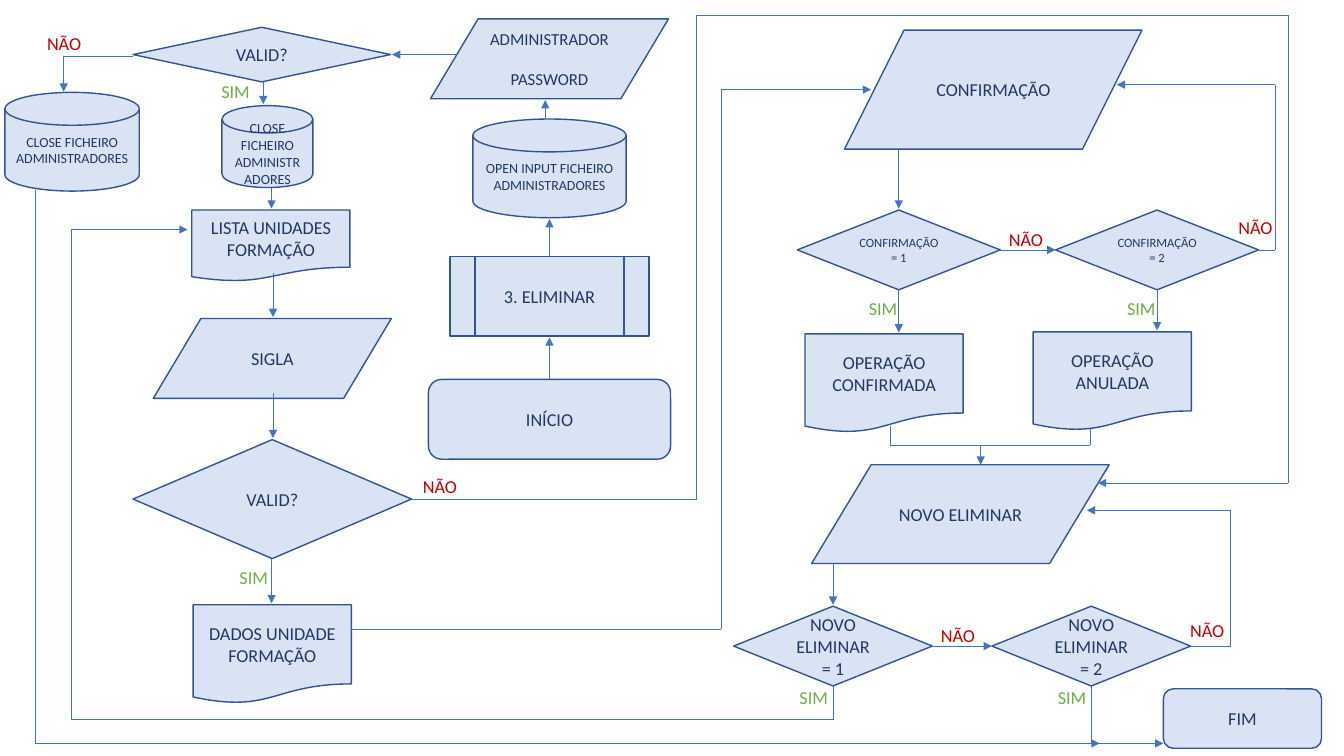
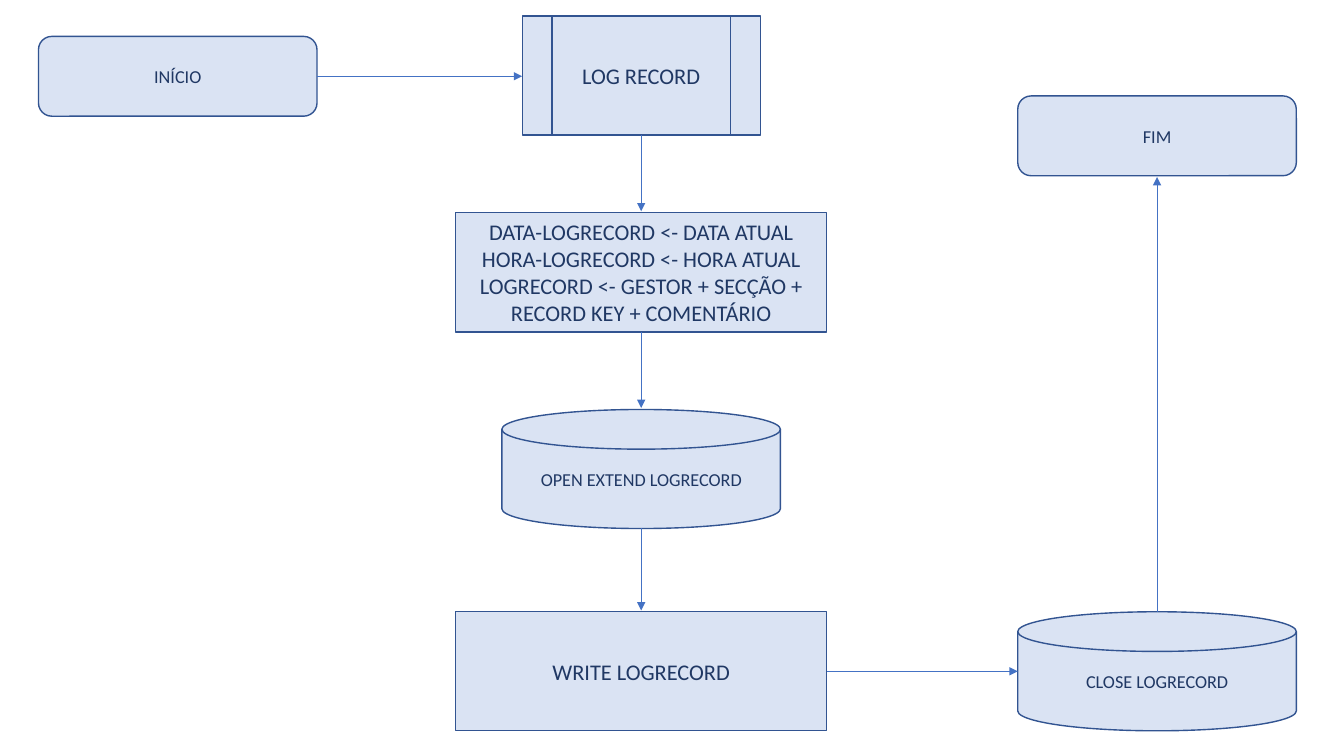
from dataclasses import dataclass
from itertools import pairwise

from lxml.etree import SubElement
from pptx import Presentation
from pptx.dml.color import RGBColor
from pptx.enum.shapes import MSO_CONNECTOR, MSO_SHAPE as SHAPE
from pptx.enum.text import MSO_ANCHOR as ANCHOR, PP_ALIGN as ALIGN
from pptx.oxml.ns import qn
from pptx.util import Pt

COLORS = {"fill": "DAE3F3", "outline": "325491", "text": "203864",
          "line": "4472C4", "yes": "70AD47", "no": "C00000"}
FONT = "Calibri"

TERMINAL = SHAPE.FLOWCHART_ALTERNATE_PROCESS
SUBROUTINE = SHAPE.FLOWCHART_PREDEFINED_PROCESS
PROCESS = SHAPE.FLOWCHART_PROCESS
DECISION = SHAPE.FLOWCHART_DECISION
DOCUMENT = SHAPE.FLOWCHART_DOCUMENT
INPUT = SHAPE.FLOWCHART_DATA
DISK = SHAPE.FLOWCHART_MAGNETIC_DISK

# Repeated node sizes: width, height
INPUT_SIZE = (170, 57)
WIDE_INPUT = 212.5
DOCUMENT_SIZE = (113, 70.5)
LOG_SIZE = (199, 85)
LOG_TERMINAL = (199, 57)
LOG_PROCESS = (265, 85)


@dataclass
class Box:
    left: float
    top: float
    width: float
    height: float

    @property
    def right(self):
        return self.left + self.width

    @property
    def bottom(self):
        return self.top + self.height

    @property
    def center(self):
        return self.left + self.width / 2

    @property
    def middle(self):
        return self.top + self.height / 2


# Shared drawing helpers
def color(name):
    return RGBColor.from_string(COLORS[name])


def write(shape, text, *, size=13, tint="text", align=ALIGN.CENTER,
          anchor=ANCHOR.MIDDLE, gap=0):
    frame = shape.text_frame
    frame.word_wrap = True
    frame.vertical_anchor = anchor
    for index, line in enumerate(text.split("\n")):
        paragraph = frame.add_paragraph() if index else frame.paragraphs[0]
        paragraph.alignment = align
        paragraph.space_before = Pt(gap if index else 0)
        run = paragraph.add_run()
        run.text = line
        run.font.name = FONT
        run.font.size = Pt(size)
        run.font.color.rgb = color(tint)


def node(slide, kind, text, center, top, width, height, **text_format):
    box = Box(center - width / 2, top, width, height)
    shape = slide.shapes.add_shape(
        kind, Pt(box.left), Pt(top), Pt(width), Pt(height))
    shape.shadow.inherit = False
    shape.fill.solid()
    shape.fill.fore_color.rgb = color("fill")
    shape.line.color.rgb = color("outline")
    shape.line.width = Pt(1)
    write(shape, text, **text_format)
    return box


def answer(slide, text, left, top):
    tint, width = ("yes", 52.5) if text == "SIM" else ("no", 40)
    label = slide.shapes.add_textbox(Pt(left), Pt(top), Pt(width), Pt(23))
    write(label, text, tint=tint, align=ALIGN.LEFT, anchor=ANCHOR.TOP)


def route(slide, *points, arrow=True):
    """Join the points with straight lines; the last one may carry an arrow."""
    for start, end in pairwise(points):
        connector = slide.shapes.add_connector(
            MSO_CONNECTOR.STRAIGHT, *(Pt(value) for value in start + end))
        connector.line.color.rgb = color("line")
        connector.line.width = Pt(0.5)
        if arrow and end == points[-1]:
            outline = connector.line._get_or_add_ln()
            SubElement(outline, qn("a:tailEnd"), type="triangle")
        SubElement(connector._element.spPr, qn("a:effectLst"))


def down(slide, upper, lower, x=None, inset=0):
    x = upper.center if x is None else x
    route(slide, (x, upper.bottom - inset), (x, lower.top - 1))


def up(slide, lower, upper, x=None):
    x = lower.center if x is None else x
    route(slide, (x, lower.top), (x, upper.bottom + 1))


# Slide 1: administrator access
def access_region(slide, box):
    column = box.left + 392.5
    decision_column = box.left + 187
    start = node(slide, TERMINAL, "INÍCIO", column, box.top + 271, 173, 57)
    remove = node(slide, SUBROUTINE, "3. ELIMINAR", column, box.top + 183,
                  142, 57)
    open_file = node(slide, DISK, "OPEN INPUT FICHEIRO ADMINISTRADORES",
                     column, box.top + 85, 109.5, 70.5, size=10)
    password = node(slide, INPUT, "ADMINISTRADOR\nPASSWORD", column,
                    box.top + 13.5, *INPUT_SIZE, size=12, gap=14.5)
    valid = node(slide, DECISION, "VALID?", decision_column, box.top + 19.5,
                 184, 39)
    close_text = "CLOSE FICHEIRO ADMINISTRADORES"
    rejected = node(slide, DISK, close_text, box.left + 51.5, box.top + 66,
                    96, 70.5, size=10)
    accepted = node(slide, DISK, close_text, decision_column + 4,
                    box.top + 75.5, 65, 58.5, size=10)
    up(slide, start, remove)
    up(slide, remove, open_file)
    up(slide, open_file, password, column - 3)
    route(slide, (password.left + 20, valid.middle),
          (valid.right + 1, valid.middle))
    down(slide, valid, accepted, decision_column + 1)
    no_x = rejected.center - 6
    route(slide, (valid.left, valid.middle + 1), (no_x, valid.middle + 1),
          (no_x, rejected.top - 0.5))
    answer(slide, "SIM", decision_column - 36, valid.bottom - 4.5)
    answer(slide, "NÃO", no_x - 19, valid.top)
    return rejected, accepted


# Slide 1: training unit lookup
def unit_region(slide, box):
    column = box.center
    units = node(slide, DOCUMENT, "LISTA UNIDADES FORMAÇÃO", column - 1,
                 box.top, 113, 51)
    code = node(slide, INPUT, "SIGLA", column, box.top + 77.5, *INPUT_SIZE)
    valid = node(slide, DECISION, "VALID?", column, box.top + 164,
                 box.width, 85)
    details = node(slide, DOCUMENT, "DADOS UNIDADE FORMAÇÃO", column,
                   box.top + 282, *DOCUMENT_SIZE)
    down(slide, units, code, column + 0.5, inset=6)
    down(slide, code, valid, column + 0.5, inset=4)
    down(slide, valid, details, column - 0.5)
    answer(slide, "SIM", column - 30.5, valid.bottom + 2)
    answer(slide, "NÃO", valid.right + 1, valid.middle - 20.5)
    return units, valid, details


# Slide 1: two chained decisions, the second looping back to an input
def decision_pair(slide, left, top, width, name, *, size, yes_offset,
                  loop_gap, loop_end, no_offset):
    first, second = [
        node(slide, DECISION, f"{name}\n= {number + 1}",
             left + width / 2 + number * 184.5, top, width, 57, size=size)
        for number in range(2)]
    route(slide, (first.right, first.middle), (second.left, first.middle))
    answer(slide, "NÃO", first.right - 1, top + 9.5)
    for decision in (first, second):
        answer(slide, "SIM", decision.center + yes_offset[0],
               decision.bottom + yes_offset[1])
    loop_x = second.right + loop_gap
    route(slide, (second.right, second.middle), (loop_x, second.middle),
          (loop_x, loop_end[1]), loop_end)
    answer(slide, "NÃO", second.right + no_offset[0], top + no_offset[1])
    return first, second


# Slide 1: confirmation
def confirm_region(slide, box):
    confirm = node(slide, INPUT, "CONFIRMAÇÃO", box.left + 140, box.top,
                   WIDE_INPUT, 85)
    first, second = decision_pair(
        slide, box.left, box.top + 128.5, 145, "CONFIRMAÇÃO", size=9,
        yes_offset=(-28.5, 2), loop_gap=12, no_offset=(-21.5, 1),
        loop_end=(confirm.right - 18, confirm.middle - 3.5))
    done = node(slide, DOCUMENT, "OPERAÇÃO CONFIRMADA", box.left + 62,
                box.top + 217, *DOCUMENT_SIZE)
    cancelled = node(slide, DOCUMENT, "OPERAÇÃO ANULADA", box.left + 225,
                     box.top + 215.5, *DOCUMENT_SIZE)
    down(slide, confirm, first, first.center)
    down(slide, first, done)
    down(slide, second, cancelled)
    merge_x = box.left + 131
    route(slide, (done.center + 4.5, done.bottom - 5),
          (done.center + 4.5, box.bottom), (cancelled.center - 16, box.bottom),
          (cancelled.center - 16, cancelled.bottom - 1), arrow=False)
    route(slide, (merge_x, box.bottom), (merge_x, box.bottom + 14))
    return confirm


# Slide 1: another deletion
def repeat_region(slide, box):
    again = node(slide, INPUT, "NOVO ELIMINAR", box.left + 162, box.top,
                 WIDE_INPUT, 70.5)
    first, second = decision_pair(
        slide, box.left, box.top + 101, 142, "NOVO ELIMINAR", size=13,
        yes_offset=(-31, -3.5), loop_gap=28.5, no_offset=(-7.5, 6),
        loop_end=(again.right - 16, again.top + 32.5))
    down(slide, again, first, first.center)
    return again, first, second


def deletion_slide(slide):
    rejected, accepted = access_region(slide, Box(0, 0, 480, 330))
    units, valid, details = unit_region(slide, Box(95, 150, 199, 352.5))
    confirm = confirm_region(slide, Box(569.5, 21.5, 342, 296.5))
    again, first, second = repeat_region(slide, Box(524, 332, 355, 158))
    finish = node(slide, TERMINAL, "FIM", 887.5, 492, 113, 42.5)

    # Links between regions
    down(slide, accepted, units, accepted.center + 3)
    route(slide, (valid.right, valid.middle + 0.5),
          (497.5, valid.middle + 0.5), (497.5, 11), (920, 11),
          (920, again.top + 13), (again.right - 8, again.top + 13))
    route(slide, (details.right, details.top + 17.5),
          (515, details.top + 17.5), (515, confirm.middle),
          (confirm.left + 19, confirm.middle))
    route(slide, (first.center, first.bottom), (first.center, 514), (51, 514),
          (51, units.top + 14), (units.left - 3, units.top + 14))
    floor = finish.bottom - 3.5
    route(slide, (25, rejected.bottom - 1), (25, floor),
          (second.center + 6, floor))
    route(slide, (second.center, second.bottom), (second.center, floor),
          (finish.left, floor))


# Slide 2: steps that write the log
def log_steps(slide, box):
    column = box.center
    start = node(slide, TERMINAL, "INÍCIO", 127, box.top + 14.5,
                 *LOG_TERMINAL)
    entry = ("DATA-LOGRECORD <- DATA ATUAL\nHORA-LOGRECORD <- HORA ATUAL\n"
             "LOGRECORD <- GESTOR + SECÇÃO + RECORD KEY + COMENTÁRIO")
    steps = [node(slide, kind, text, column, box.top + offset, *measure,
                  size=size)
             for kind, text, offset, measure, size in (
                 (SUBROUTINE, "LOG RECORD", 0, (170, 85), 16),
                 (PROCESS, entry, 140.5, LOG_PROCESS, 16),
                 (DISK, "OPEN EXTEND LOGRECORD", 281, LOG_SIZE, 13),
                 (PROCESS, "WRITE LOGRECORD", 425.5, LOG_PROCESS, 16))]
    route(slide, (start.right, start.middle), (steps[0].left, start.middle))
    for upper, lower in pairwise(steps):
        down(slide, upper, lower)
    return steps[-1]


# Slide 2: closing the log
def log_exit(slide, box):
    finish = node(slide, TERMINAL, "FIM", box.center, box.top, *LOG_TERMINAL)
    close = node(slide, DISK, "CLOSE LOGRECORD", box.center,
                 box.bottom - LOG_SIZE[1], *LOG_SIZE)
    up(slide, close, finish)
    return close


def log_slide(slide):
    last = log_steps(slide, Box(325.5, 11.5, 265, 510.5))
    close = log_exit(slide, Box(727, 68.5, 199, 453.5))
    route(slide, (last.right, last.middle), (close.left, close.middle))


presentation = Presentation()
presentation.slide_width = Pt(960)
presentation.slide_height = Pt(540)
for build in (deletion_slide, log_slide):
    build(presentation.slides.add_slide(presentation.slide_layouts[6]))
presentation.save("out.pptx")
